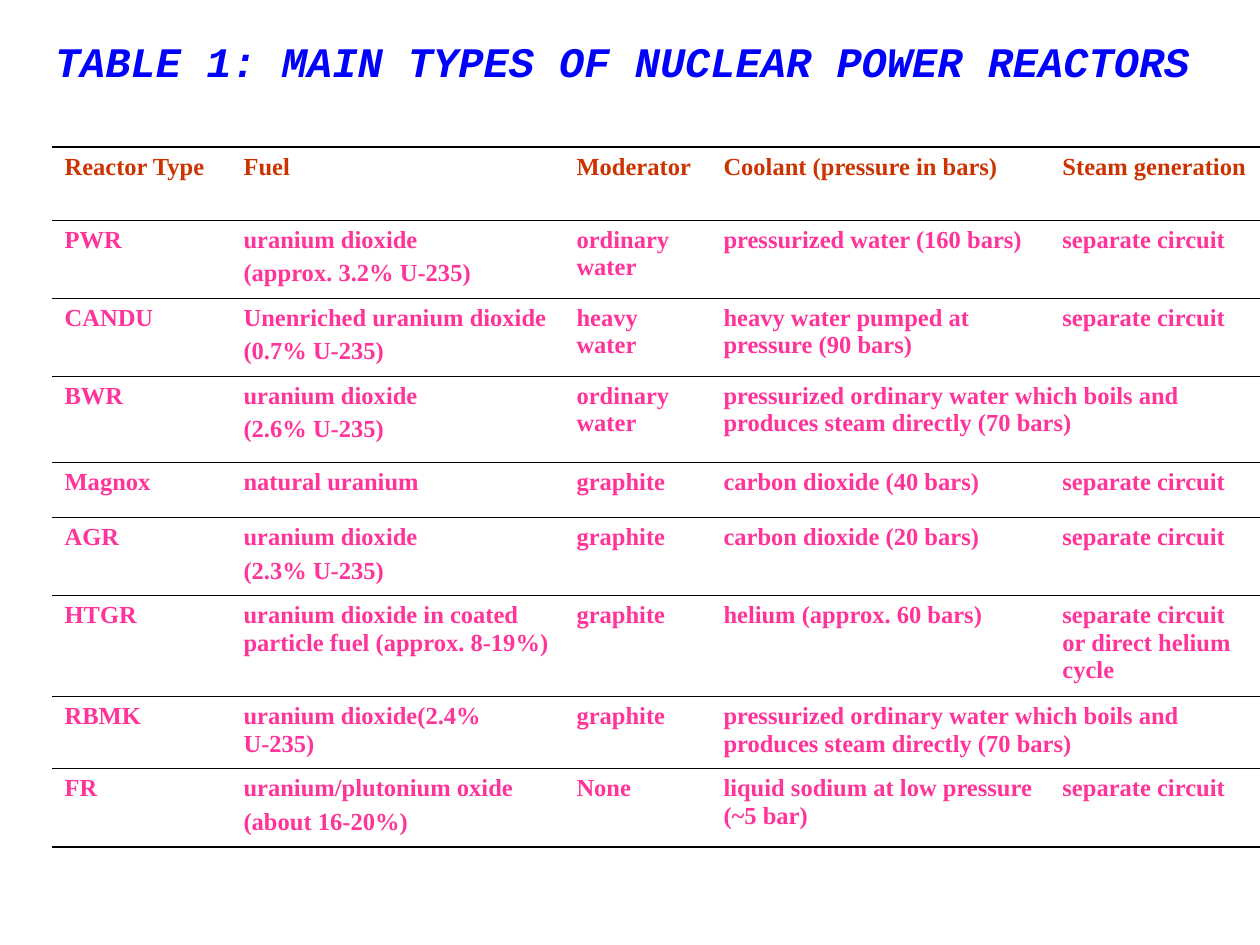
from lxml import etree
from pptx import Presentation
from pptx.dml.color import RGBColor
from pptx.enum.text import MSO_ANCHOR, MSO_AUTO_SIZE, PP_ALIGN
from pptx.oxml.ns import qn
from pptx.util import Emu, Pt

TOP = MSO_ANCHOR.TOP
NO_FIT = MSO_AUTO_SIZE.NONE
LEFT = PP_ALIGN.LEFT
EMU_PER_PX = 914400 / 126

COLUMN_WIDTHS = [179, 333, 147, 339, 210]
ROW_HEIGHTS = [73, 78, 78, 86, 56, 78, 101, 72, 78]
BOILING = "pressurized ordinary water which boils and produces steam directly (70 bars)"
SEPARATE = "separate circuit"
REACTORS = [
    ["Reactor Type", "Fuel", "Moderator", "Coolant (pressure in bars)", "Steam generation"],
    ["PWR", "uranium dioxide\n(approx. 3.2% U-235)", "ordinary water",
     "pressurized water (160 bars)", SEPARATE],
    ["CANDU", "Unenriched uranium dioxide\n(0.7% U-235)", "heavy water",
     "heavy water pumped at pressure (90 bars)", SEPARATE],
    ["BWR", "uranium dioxide\n(2.6% U-235)", "ordinary water", BOILING],
    ["Magnox", "natural uranium", "graphite", "carbon dioxide (40 bars)", SEPARATE],
    ["AGR", "uranium dioxide\n(2.3% U-235)", "graphite", "carbon dioxide (20 bars)", SEPARATE],
    ["HTGR", "uranium dioxide in coated particle fuel (approx. 8-19%)", "graphite",
     "helium (approx. 60 bars)", "separate circuit or direct helium cycle"],
    ["RBMK", "uranium dioxide(2.4% U-235)", "graphite", BOILING],
    ["FR", "uranium/plutonium oxide\n(about 16-20%)", "None",
     "liquid sodium at low pressure (~5 bar)", SEPARATE],
]


def px(length):
    return Emu(round(length * EMU_PER_PX))


def color(hex_code):
    return RGBColor.from_string(hex_code)


def apply(target, values):
    for name, value in values.items():
        setattr(target, name, value)


class ReactorSlide:
    title_font = {"name": "Courier New", "size": Pt(24), "bold": True, "italic": True}
    table_font = {"name": "Times New Roman", "size": Pt(14), "bold": True}
    title_color = "0000FF"
    header_color = "CC3300"
    body_color = "FF3399"
    rule_color = "000000"
    outer_rule = Pt(1.08)
    inner_rule = Pt(0.45)

    def __init__(self, deck):
        self.slide = deck.slides.add_slide(deck.slide_layouts[5])

    def fill_text(self, frame, text, font, hex_code):
        frame.text = text
        for position, paragraph in enumerate(frame.paragraphs):
            apply(paragraph, {"alignment": LEFT, "space_before": Pt(3.5 if position else 0)})
            for run in paragraph.runs:
                apply(run.font, font)
                run.font.color.rgb = color(hex_code)

    def title(self, text, left, top, width, height):
        heading = self.slide.shapes.title
        apply(heading, {"left": px(left), "top": px(top),
                        "width": px(width), "height": px(height)})
        apply(heading.text_frame, {
            "auto_size": NO_FIT, "word_wrap": True, "vertical_anchor": TOP,
            "margin_left": px(13), "margin_right": px(13),
            "margin_top": px(15), "margin_bottom": px(0)})
        self.fill_text(heading.text_frame, text, self.title_font, self.title_color)

    def border(self, cell, side, width=None):
        line = etree.SubElement(cell._tc.get_or_add_tcPr(), qn(f"a:{side}"))
        if width is None:
            etree.SubElement(line, qn("a:noFill"))
            return
        line.set("w", str(int(width)))
        fill = etree.SubElement(line, qn("a:solidFill"))
        etree.SubElement(fill, qn("a:srgbClr"), val=self.rule_color)

    def table(self, rows, left, top, widths, heights):
        frame = self.slide.shapes.add_table(
            len(rows), len(widths), px(left), px(top), px(sum(widths)), px(sum(heights)))
        grid = frame.table
        apply(grid, {"first_row": False, "horz_banding": False})
        for column, width in zip(grid.columns, widths):
            column.width = px(width)
        last = len(rows) - 1
        for index, (row, texts) in enumerate(zip(grid.rows, rows)):
            row.height = px(heights[index])
            for cell in row.cells:
                self.border(cell, "lnL")
                self.border(cell, "lnR")
                self.border(cell, "lnT", self.inner_rule if index else self.outer_rule)
                self.border(cell, "lnB", self.inner_rule if index < last else self.outer_rule)
                cell.fill.background()
            if len(texts) < len(widths):
                grid.cell(index, len(texts) - 1).merge(grid.cell(index, len(widths) - 1))
            hex_code = self.body_color if index else self.header_color
            for cell, text in zip(row.cells, texts):
                self.fill_text(cell.text_frame, text, self.table_font, hex_code)


def main():
    deck = Presentation()
    apply(deck, {"slide_width": px(1260), "slide_height": px(945)})
    page = ReactorSlide(deck)
    page.title("TABLE 1: MAIN TYPES OF NUCLEAR POWER REACTORS", 42, 21, 1218, 63)
    page.table(REACTORS, 52, 147, COLUMN_WIDTHS, ROW_HEIGHTS)
    deck.save("out.pptx")


if __name__ == "__main__":
    main()
